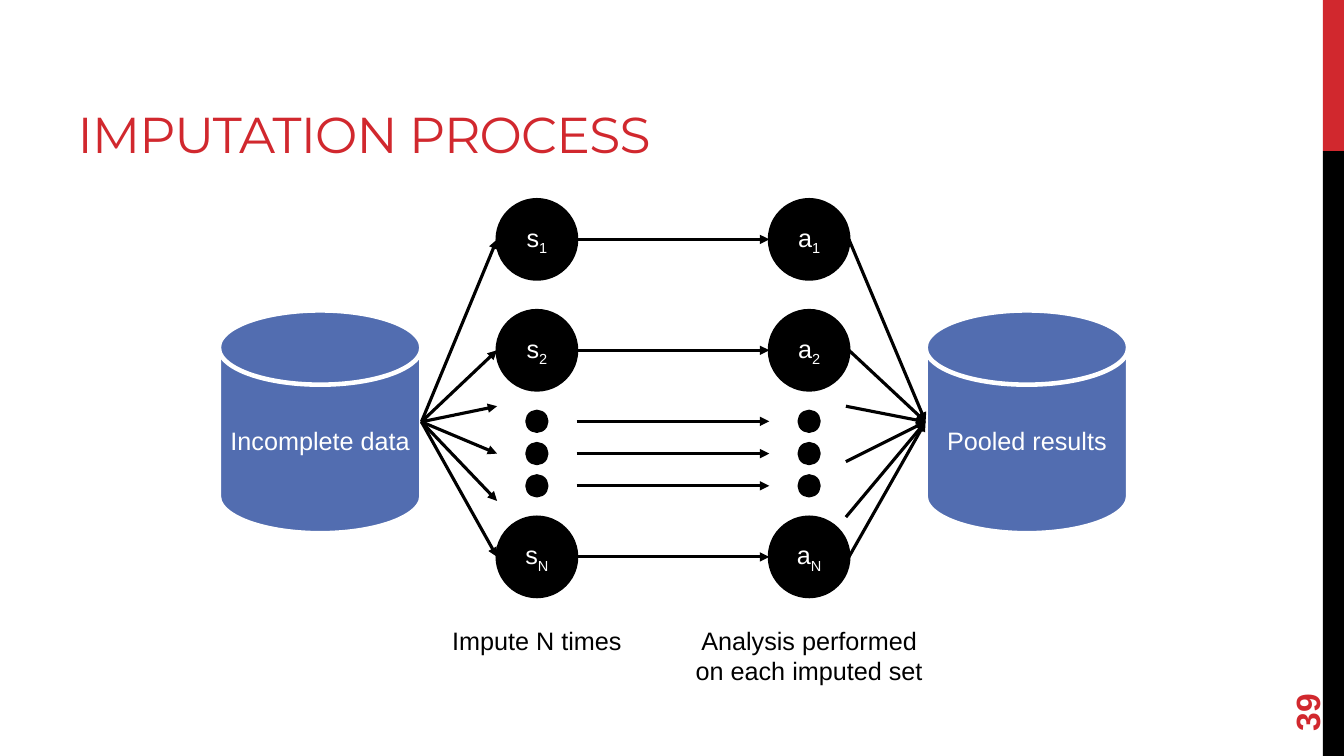
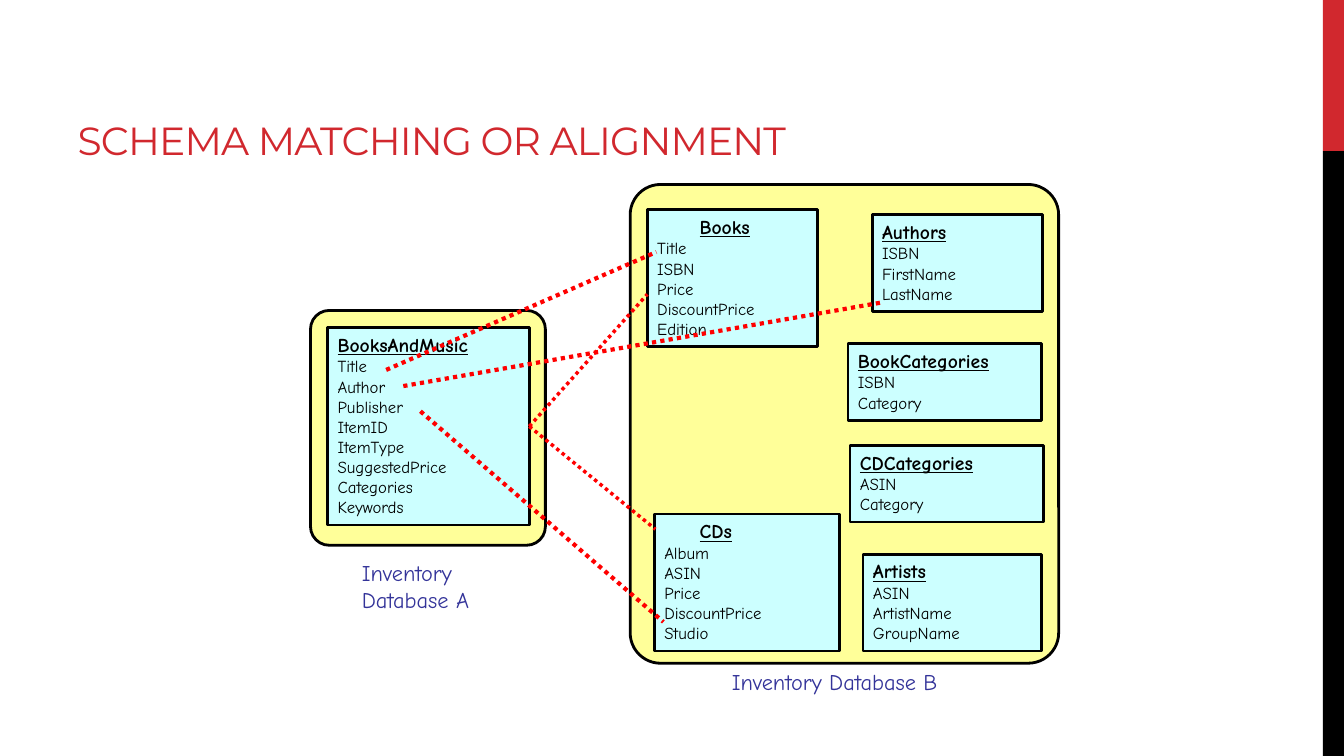
from lxml import etree
from pptx import Presentation
from pptx import util as u
from pptx.dml.color import RGBColor
from pptx.enum import dml, shapes, text
from pptx.oxml import ns

Inches, Pt = u.Inches, u.Pt
KINDS = shapes.MSO_SHAPE
ALIGN = text.PP_ALIGN
ANCHOR = text.MSO_ANCHOR

COLORS = {
    "accent": "D1282E", "black": "000000", "white": "FFFFFF", "cylinder": "526DB0",
    "database": "FFFF99", "table": "CCFFFF", "match": "FF0000", "caption": "333399",
}
BODY_FONT, TITLE_FONT, SCHEMA_FONT = "Arial", "Montserrat", "Comic Neue"
BANDS = [("accent", 0, 1.5), ("black", 1.5, 6)]
TITLE_BOX = (0.67, 0.17, 8.44, 1.5)

CYLINDERS = [("Incomplete data", 2.17), ("Pooled results", 9.18)]
CYLINDER_TOP, CYLINDER_WIDTH, CYLINDER_HEIGHT = 3.08, 2.01, 2.21
COLUMNS = [("s", 4.93), ("a", 7.63)]
ROWS = [("1", 1.98), ("2", 3.08), ("N", 5.13)]
CIRCLE, DOT = 0.79, 0.2
DOT_TOPS = [4.08 + 0.32 * index for index in range(3)]
FAN_OUT_STOPS = [4.03, 4.5, 4.97]
FAN_IN_STARTS = [4.03, 4.58, 5.13]
STEP_CAPTIONS = [
    ("Impute N times", (4.03, 6.15, 2.59, 0.4)),
    ("Analysis performed on each imputed set", (6.73, 6.15, 2.59, 0.71)),
]

DATABASES = [((6.25, 1.83, 4.25, 4.75), 0.071), ((3.08, 3.08, 2.33, 2.33), 0.08)]
TABLES = [
    ("BooksAndMusic", (3.25, 3.25, 2, 1.96), (),
     ["Title", "Author", "Publisher", "ItemID", "ItemType", "SuggestedPrice",
      "Categories", "Keywords"]),
    ("Books", (6.42, 2.08, 1.69, 1.36), (0.42, 1.39),
     ["Title", "ISBN", "Price", "DiscountPrice", "Edition"]),
    ("CDs", (6.49, 5.1, 1.84, 1.36), (0.35, 1.16),
     ["Album", "ASIN", "Price", "DiscountPrice", "Studio"]),
    ("BookCategories", (8.41, 3.41, 1.92, 0.76), (), ["ISBN", "Category"]),
    ("CDCategories", (8.43, 4.42, 1.92, 0.76), (), ["ASIN", "Category"]),
    ("Artists", (8.56, 5.5, 1.77, 0.96), (), ["ASIN", "ArtistName", "GroupName"]),
    ("Authors", (8.65, 2.13, 1.69, 0.96), (), ["ISBN", "FirstName", "LastName"]),
]
FIELD_MATCHES = [
    ((3.83, 3.67), (6.51, 2.5)),
    ((4.17, 4.08), (6.58, 6.17)),
    ((4, 3.83), (8.75, 3)),
]
TABLE_MATCHES = [((5.25, 4.23), (6.42, 2.92)), ((5.25, 4.23), (6.5, 5.25))]
DATABASE_CAPTIONS = [
    (["Inventory", "Database A"], (3.49, 5.5, 1.92, 0.64)),
    (["Inventory Database B"], (7.16, 6.58, 2.76, 0.37)),
]


def color(name):
    return RGBColor.from_string(COLORS[name])


def style(font, size, face, ink, bold=False, underline=False):
    font.size, font.name = Pt(size), face
    font.bold, font.underline = bold, underline
    font.color.rgb = color(ink)


def add_shape(slide, kind, box, fill, line=None, width=2.25):
    shape = slide.shapes.add_shape(kind, *map(Inches, box))
    shape.shadow.inherit = False
    shape.fill.solid()
    shape.fill.fore_color.rgb = color(fill)
    if line:
        shape.line.color.rgb = color(line)
        shape.line.width = Pt(width)
    else:
        shape.line.fill.background()
    return shape


def add_text(slide, lines, box, size, face, ink, align=ALIGN.LEFT, bold=False):
    shape = slide.shapes.add_textbox(*map(Inches, box))
    frame = shape.text_frame
    frame.word_wrap = True
    frame.text = "\n".join(lines)
    for paragraph in frame.paragraphs:
        paragraph.alignment = align
        style(paragraph.runs[0].font, size, face, ink, bold)
    return shape


def add_line(slide, start, end, ink="black", width=2.25, arrow=True):
    line = slide.shapes.add_connector(
        shapes.MSO_CONNECTOR.STRAIGHT, *map(Inches, (*start, *end)))
    line.line.color.rgb = color(ink)
    line.line.width = Pt(width)
    if arrow:
        etree.SubElement(line.line._get_or_add_ln(), ns.qn("a:tailEnd"), type="triangle")
    else:
        line.line.dash_style = dml.MSO_LINE.ROUND_DOT
    etree.SubElement(line.element.spPr, ns.qn("a:effectLst"))
    return line


def add_titled_slide(presentation, title, size):
    slide = presentation.slides.add_slide(presentation.slide_layouts[5])
    shape = slide.shapes.title
    shape.left, shape.top, shape.width, shape.height = map(Inches, TITLE_BOX)
    frame = shape.text_frame
    frame.text = title
    frame.auto_size = text.MSO_AUTO_SIZE.NONE
    frame.vertical_anchor = ANCHOR.BOTTOM
    paragraph = frame.paragraphs[0]
    paragraph.alignment = ALIGN.LEFT
    run = paragraph.runs[0]
    style(run.font, size, TITLE_FONT, "accent")
    run._r.get_or_add_rPr().set("spc", "-60")
    return slide


def add_master_bands(presentation, slide):
    for fill, top, height in BANDS:
        band = add_shape(slide, KINDS.RECTANGLE, (13.12, top, 0.21, height), fill)
        presentation.slide_master.shapes.element.append(band.element)


def add_circle(slide, letter, subscript, left, top):
    circle = add_shape(slide, KINDS.OVAL, (left, top, CIRCLE, CIRCLE), "black", "black")
    frame = circle.text_frame
    frame.word_wrap = False
    frame.vertical_anchor = ANCHOR.MIDDLE
    paragraph = frame.paragraphs[0]
    paragraph.alignment = ALIGN.CENTER
    for label in (letter, subscript):
        run = paragraph.add_run()
        run.text = label
        style(run.font, 18, BODY_FONT, "white")
    run._r.get_or_add_rPr().set("baseline", "-25000")


def build_imputation(slide):
    number = add_text(slide, ["39"], (12.24, 6.37, 1.44, 0.53), 24, BODY_FONT,
                      "accent", bold=True)
    number.rotation = 270
    number.text_frame.vertical_anchor = ANCHOR.MIDDLE

    for label, left in CYLINDERS:
        cylinder = add_shape(slide, KINDS.FLOWCHART_MAGNETIC_DISK,
                             (left, CYLINDER_TOP, CYLINDER_WIDTH, CYLINDER_HEIGHT),
                             "cylinder", "white", 3.25)
        frame = cylinder.text_frame
        frame.text = label
        frame.vertical_anchor = ANCHOR.MIDDLE
        frame.paragraphs[0].alignment = ALIGN.CENTER
        style(frame.paragraphs[0].runs[0].font, 18, BODY_FONT, "white")

    for letter, left in COLUMNS:
        for subscript, top in ROWS:
            add_circle(slide, letter, subscript, left, top)
        for top in DOT_TOPS:
            add_shape(slide, KINDS.OVAL, (left + (CIRCLE - DOT) / 2, top, DOT, DOT),
                      "black", "black")

    sample_left, analysis_left = (left for letter, left in COLUMNS)
    sample_right, analysis_right = sample_left + CIRCLE, analysis_left + CIRCLE
    circle_middles = [top + CIRCLE / 2 for subscript, top in ROWS]
    dot_middles = [top + DOT / 2 for top in DOT_TOPS]
    hub = CYLINDER_TOP + CYLINDER_HEIGHT / 2
    source = (CYLINDERS[0][1] + CYLINDER_WIDTH, hub)
    target = (CYLINDERS[1][1], hub)

    for y in circle_middles + FAN_OUT_STOPS:
        add_line(slide, source, (sample_left, y))
    for y in circle_middles + dot_middles:
        add_line(slide, (sample_right, y), (analysis_left, y))
    for y in circle_middles:
        add_line(slide, (analysis_right, y), target)
    for y in FAN_IN_STARTS:
        add_line(slide, (analysis_right - 0.03, y), target)

    for caption, box in STEP_CAPTIONS:
        add_text(slide, [caption], box, 18, BODY_FONT, "black", ALIGN.CENTER)


def add_schema_table(slide, name, box, stops, fields):
    shape = add_shape(slide, KINDS.RECTANGLE, box, "table", "black", 2)
    frame = shape.text_frame
    frame.word_wrap = True
    frame.vertical_anchor = ANCHOR.TOP
    frame.text = "\n".join(["", *fields])
    heading, *rows = frame.paragraphs
    heading.alignment = ALIGN.LEFT
    if stops:
        tabs = etree.SubElement(heading._p.get_or_add_pPr(), ns.qn("a:tabLst"))
        for stop in stops:
            etree.SubElement(tabs, ns.qn("a:tab"), pos=str(Inches(stop)), algn="l")
    parts = [("\t", 14, False), (name, 14, True), ("\t", 12, True)]
    for part, size, underline in parts if stops else parts[1:2]:
        run = heading.add_run()
        run.text = part
        style(run.font, size, SCHEMA_FONT, "black", True, underline)
    for paragraph in rows:
        paragraph.alignment = ALIGN.LEFT
        style(paragraph.runs[0].font, 12, SCHEMA_FONT, "black")
    return shape


def build_schema_matching(slide):
    for box, corner in DATABASES:
        database = add_shape(slide, KINDS.ROUNDED_RECTANGLE, box, "database", "black", 2)
        database.adjustments[0] = corner
    tables = {table[0]: add_schema_table(slide, *table) for table in TABLES}
    for start, end in FIELD_MATCHES:
        add_line(slide, start, end, "match", 3, arrow=False)
    for start, end in TABLE_MATCHES:
        line = add_line(slide, start, end, "match", 2.5, arrow=False)
        line.begin_connect(tables["BooksAndMusic"], 3)
    for lines, box in DATABASE_CAPTIONS:
        add_text(slide, lines, box, 16, SCHEMA_FONT, "caption")


def main():
    presentation = Presentation()
    presentation.slide_width, presentation.slide_height = Inches(13.33), Inches(7.5)
    imputation = add_titled_slide(presentation, "IMPUTATION PROCESS", 36)
    add_master_bands(presentation, imputation)
    build_imputation(imputation)
    matching = add_titled_slide(presentation, "SCHEMA MATCHING OR ALIGNMENT", 28)
    build_schema_matching(matching)
    presentation.save("out.pptx")


if __name__ == "__main__":
    main()
